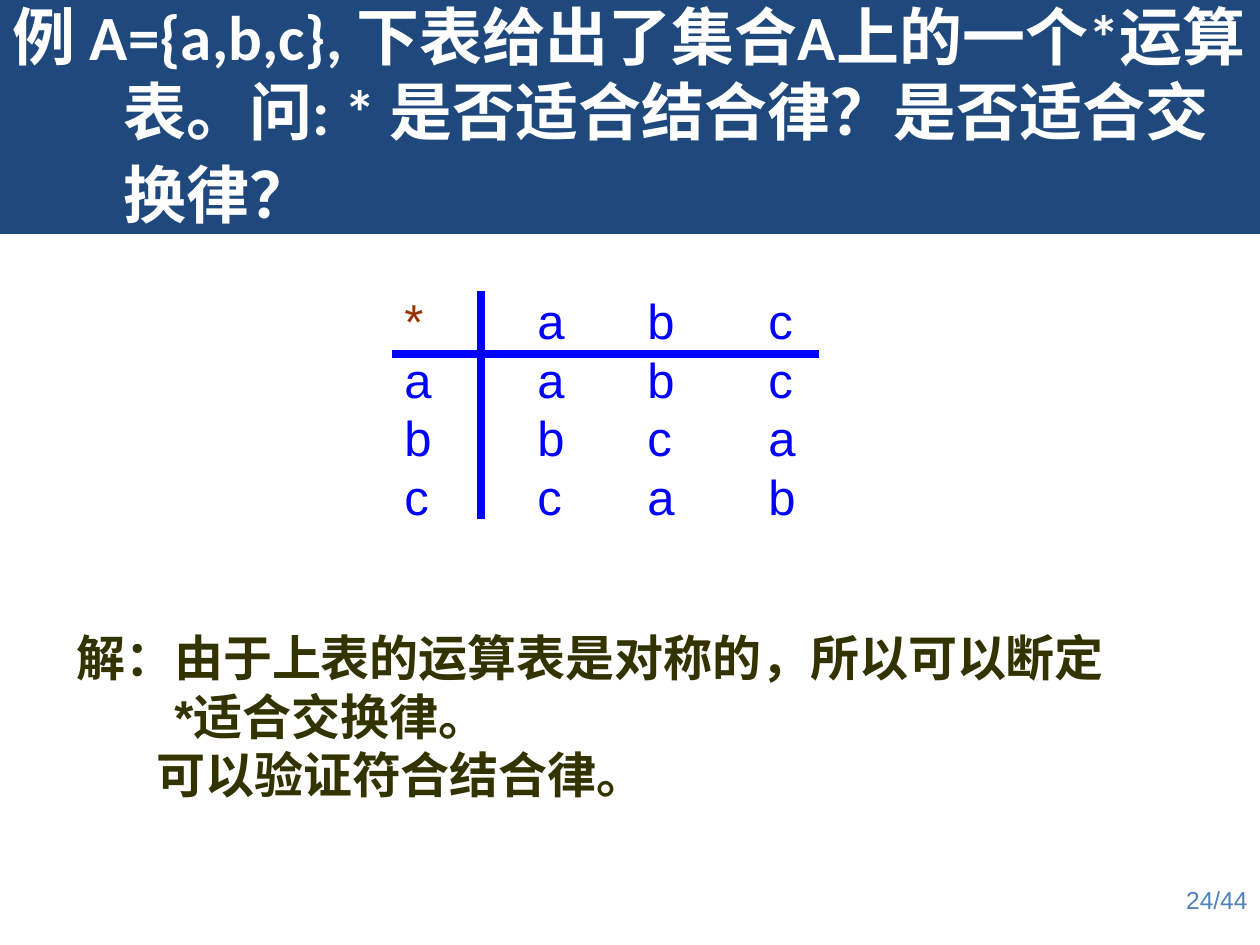
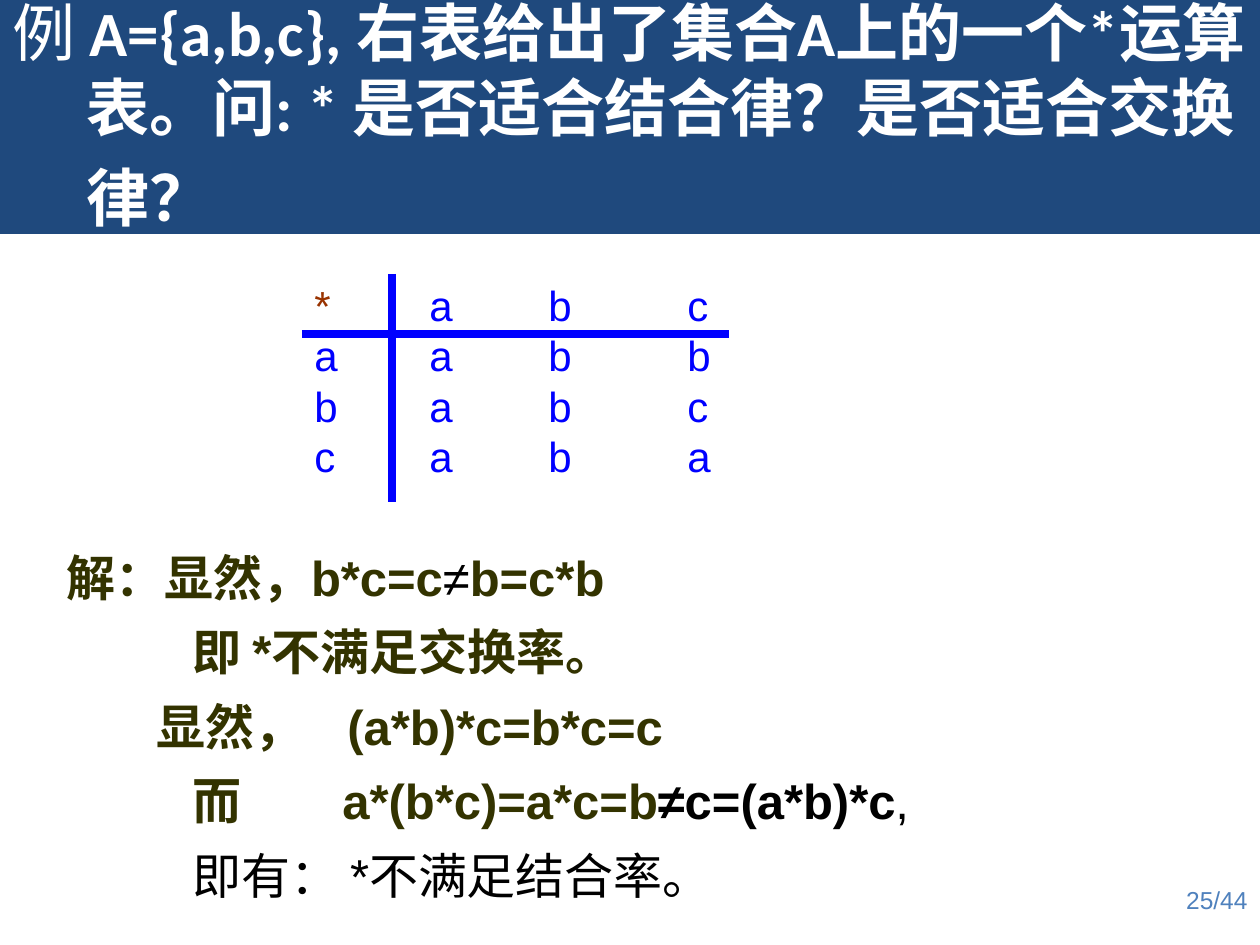
from lxml.etree import SubElement
from pptx import Presentation
from pptx.dml.color import RGBColor
from pptx.enum.shapes import MSO_CONNECTOR
from pptx.enum.text import MSO_ANCHOR, MSO_AUTO_SIZE, PP_ALIGN
from pptx.oxml.ns import qn
from pptx.util import Emu, Pt

EMU_PER_PX = 914400 / 126
NAVY, WHITE, BLUE = "1F497D", "FFFFFF", "0000FF"
OLIVE, BROWN, BLACK, PAGE_BLUE = "333300", "993300", "000000", "4F81BD"
TITLE_FONT, BODY_FONT = "Calibri", "Arial"
TOTAL_PAGES = 44


def px(length):
    return Emu(round(length * EMU_PER_PX))


def color(hex_value):
    return RGBColor.from_string(hex_value)


def add_span(para, text, size, hex_value, bold=False, font=BODY_FONT):
    span = para.add_run()
    span.text = text
    span.font.name = font
    span.font.size = Pt(size)
    span.font.bold = bold
    span.font.color.rgb = color(hex_value)


def set_indent(para, margin, first_line):
    properties = para._p.get_or_add_pPr()
    properties.set("marL", str(px(margin)))
    properties.set("indent", str(px(first_line)))


def set_tabs(para, stops):
    tabs = SubElement(para._p.get_or_add_pPr(), qn("a:tabLst"))
    for stop in stops:
        SubElement(tabs, qn("a:tab"), pos=str(px(stop)), algn="l")


def add_box(page, left, top, width, height):
    box = page.shapes.add_textbox(px(left), px(top), px(width), px(height))
    box.text_frame.word_wrap = True
    return box.text_frame


def next_para(frame, index):
    return frame.add_paragraph() if index else frame.paragraphs[0]


def add_rule(page, x1, y1, x2, y2):
    rule = page.shapes.add_connector(
        MSO_CONNECTOR.STRAIGHT, px(x1), px(y1), px(x2), px(y2))
    rule.line.color.rgb = color(BLUE)
    rule.line.width = Pt(4.5)
    SubElement(rule._element.spPr, qn("a:effectLst"))


def add_page(deck, number, hanging, title_spans):
    """Add a page with its title band and page number."""
    page = deck.slides.add_slide(deck.slide_layouts[5])
    title = page.shapes.title
    title.left, title.top, title.width, title.height = px(0), px(-4), px(1260), px(238)
    title.fill.solid()
    title.fill.fore_color.rgb = color(NAVY)
    frame = title.text_frame
    frame.word_wrap = True
    frame.auto_size = MSO_AUTO_SIZE.NONE
    frame.vertical_anchor = MSO_ANCHOR.MIDDLE
    para = frame.paragraphs[0]
    para.alignment = PP_ALIGN.LEFT
    set_indent(para, hanging, -hanging)
    for text, size, bold in title_spans:
        add_span(para, text, size, WHITE, bold, TITLE_FONT)

    para = add_box(page, 966, 879, 294, 66).paragraphs[0]
    para.alignment = PP_ALIGN.RIGHT
    add_span(para, f"{number}/{TOTAL_PAGES}", 14, PAGE_BLUE)
    return page


def add_operation_table(page, left, top, size, stops, rows):
    """Write the operation table with one tab stop per column."""
    frame = add_box(page, left, top, 429, 248)
    for index, (head, values) in enumerate(rows):
        para = next_para(frame, index)
        set_tabs(para, stops)
        add_span(para, head, size, BLUE if index else BROWN)
        add_span(para, "".join("\t" + value for value in values), size, BLUE)


def add_symmetric_page(deck):
    page = add_page(deck, 24, 111, [
        ("例 A={a,b,c}, 下表给出了集合A上的一个*运算表。"
         "问: * 是否适合结合律？是否适合交换律？", 36, True),
        (" ", 40, False)])

    # Operation table
    add_operation_table(page, 392, 284, 28, (133, 243, 364), [
        ("*", "abc"), ("a", "abc"), ("b", "bca"), ("c", "cab")])
    add_rule(page, 392, 354, 819, 354)
    add_rule(page, 481, 291, 481, 519)

    # Solution
    frame = add_box(page, 64, 621, 1072, 189)
    lines = [("解：由于上表的运算表是对称的，所以可以断定 *适合交换律。", -98),
             ("可以验证符合结合律。", -18)]
    for index, (text, first_line) in enumerate(lines):
        para = next_para(frame, index)
        set_indent(para, 98, first_line)
        add_span(para, text, 28, OLIVE, True)


def add_asymmetric_page(deck):
    page = add_page(deck, 25, 74, [
        ("例 ", 36, False),
        ("A={a,b,c}, 右表给出了集合A上的一个*运算表。"
         "问: * 是否适合结合律？是否适合交换律？", 36, True),
        (" ", 44, False)])

    # Solution
    frame = add_box(page, 54, 535, 1081, 384)
    lines = [
        ((), [("解：显然，b*c=c", OLIVE, True), ("≠", BLACK, False),
              ("b=c*b", OLIVE, True)]),
        ((126,), [("\t即 *不满足交换率。", OLIVE, True)]),
        ((90, 281), [("\t显然，\t(a*b)*c=b*c=c", OLIVE, True)]),
        ((126, 276), [("\t而\ta*(b*c)=a*c=b", OLIVE, True),
                      ("≠c=(a*b)*c", BLACK, True), (",", BLACK, False)]),
        ((126,), [("\t即有： *不满足结合率。", BLACK, False)])]
    for index, (stops, spans) in enumerate(lines):
        para = next_para(frame, index)
        para.line_spacing = 1.1
        if index:
            para.space_before = Pt(5.6)
        if stops:
            set_tabs(para, stops)
        for text, hex_value, bold in spans:
            add_span(para, text, 28, hex_value, bold)

    # Operation table
    add_operation_table(page, 302, 273, 24, (115, 234, 373), [
        ("*", "abc"), ("a", "abb"), ("b", "abc"), ("c", "aba")])
    add_rule(page, 302, 334, 729, 334)
    add_rule(page, 392, 274, 392, 502)


def main():
    deck = Presentation()
    deck.slide_width, deck.slide_height = px(1260), px(945)
    add_symmetric_page(deck)
    add_asymmetric_page(deck)
    deck.save("out.pptx")


if __name__ == "__main__":
    main()
